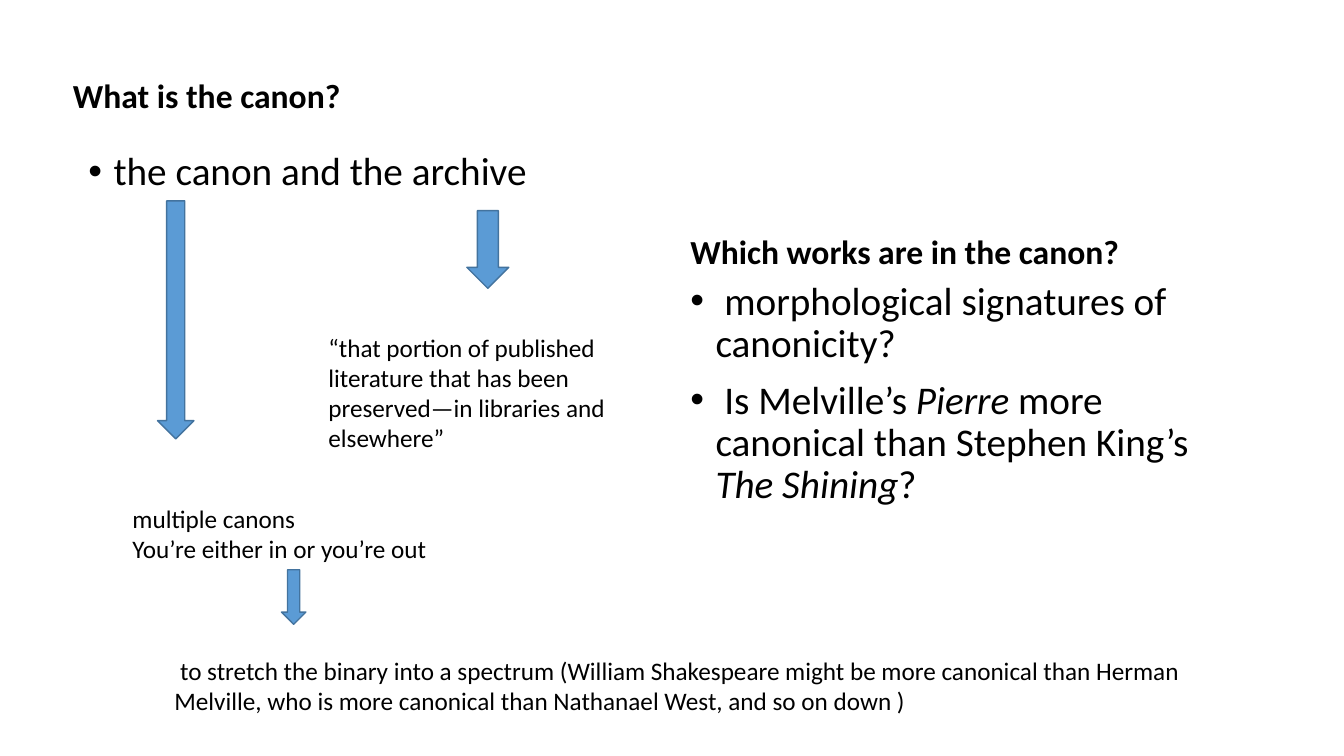
from lxml import etree
from pptx import Presentation
from pptx.dml.color import RGBColor
from pptx.enum import shapes, text
from pptx.oxml import ns
from pptx.util import Pt

BLACK = RGBColor(0x00, 0x00, 0x00)
BLUE = RGBColor(0x5B, 0x9B, 0xD5)
DARK_BLUE = RGBColor(0x43, 0x73, 0x9E)
FONT = "Calibri"
INDENT = 18
HEADING_HEIGHT = 65
LIST_HEIGHT = 290


def add_text(page, box, paras, size, bold=False, anchor=text.MSO_ANCHOR.TOP):
    """Add a text box; each para is a list of (wording, italic) spans."""
    shape = page.shapes.add_textbox(*map(Pt, box))
    frame = shape.text_frame
    frame.word_wrap = True
    frame.vertical_anchor = anchor
    for index, spans in enumerate(paras):
        para = frame.paragraphs[0] if index == 0 else frame.add_paragraph()
        for wording, italic in spans:
            span = para.add_run()
            span.text = wording
            span.font.name = FONT
            span.font.size = Pt(size)
            span.font.bold = bold
            span.font.italic = italic
            span.font.color.rgb = BLACK
    return frame


def space_body(frame):
    for para in frame.paragraphs:
        para.line_spacing = 0.9
        para.space_before = Pt(10)


def add_heading(page, box, wording):
    space_body(add_text(page, box, [[(wording, False)]], 24, True,
                        text.MSO_ANCHOR.BOTTOM))


def add_bullets(page, box, paras):
    frame = add_text(page, box, paras, 28)
    space_body(frame)
    for para in frame.paragraphs:
        properties = para._p.get_or_add_pPr()
        properties.set("marL", str(Pt(INDENT)))
        properties.set("indent", str(-Pt(INDENT)))
        font = etree.SubElement(properties, ns.qn("a:buFont"))
        font.set("typeface", "Arial")
        bullet = etree.SubElement(properties, ns.qn("a:buChar"))
        bullet.set("char", "•")


def add_note(page, box, *lines):
    frame = add_text(page, box, [[(line, False)] for line in lines], 18)
    frame.auto_size = text.MSO_AUTO_SIZE.SHAPE_TO_FIT_TEXT


def add_down_arrow(page, box):
    arrow = page.shapes.add_shape(shapes.MSO_SHAPE.DOWN_ARROW, *map(Pt, box))
    arrow.shadow.inherit = False
    arrow.fill.solid()
    arrow.fill.fore_color.rgb = BLUE
    arrow.line.color.rgb = DARK_BLUE
    arrow.line.width = Pt(1)


def add_definition(page, left, top, width):
    """Heading and the two terms that the arrows start from."""
    add_heading(page, (left, top, width, HEADING_HEIGHT), "What is the canon?")
    add_bullets(page, (left + 11, top + 83.5, width, LIST_HEIGHT),
                [[("the canon and the archive", False)]])


def add_archive_branch(page, left, top, width):
    add_down_arrow(page, (left + 106, top, 30, 55.5))
    add_note(page, (left, top + 83, width, 94),
             "“that portion of published literature that has been "
             "preserved—in libraries and elsewhere”")


def add_canon_branch(page, left, top, width):
    add_down_arrow(page, (left + 29, top, 26, 170))
    add_note(page, (left, top + 212.5, 351.5, 51),
             " multiple canons", " You’re either in or you’re out")
    add_down_arrow(page, (left + 117.5, top + 263.5, 17.5, 39))
    add_note(page, (left + 34, top + 321, width - 34, 51),
             " to stretch the binary into a spectrum (William Shakespeare might "
             "be more canonical than Herman Melville, who is more canonical "
             "than Nathanael West, and so on down )")


def add_question(page, left, top, width):
    """Heading and the open questions about what belongs in the canon."""
    add_heading(page, (left, top, width, HEADING_HEIGHT),
                "Which works are in the canon?")
    add_bullets(page, (left, top + HEADING_HEIGHT, width, LIST_HEIGHT), [
        [(" morphological signatures of canonicity?", False)],
        [(" Is Melville’s ", False), ("Pierre", True),
         (" more canonical than Stephen King’s ", False),
         ("The Shining", True), ("?", False)],
    ])


def main():
    deck = Presentation()
    deck.slide_width, deck.slide_height = Pt(960), Pt(540)
    page = deck.slides.add_slide(deck.slide_layouts[6])
    add_definition(page, 45, 21.5, 406)
    add_question(page, 486, 132.5, 408)
    add_archive_branch(page, 227.5, 150.5, 237)
    add_canon_branch(page, 83.5, 143.5, 815)
    deck.save("out.pptx")


if __name__ == "__main__":
    main()
